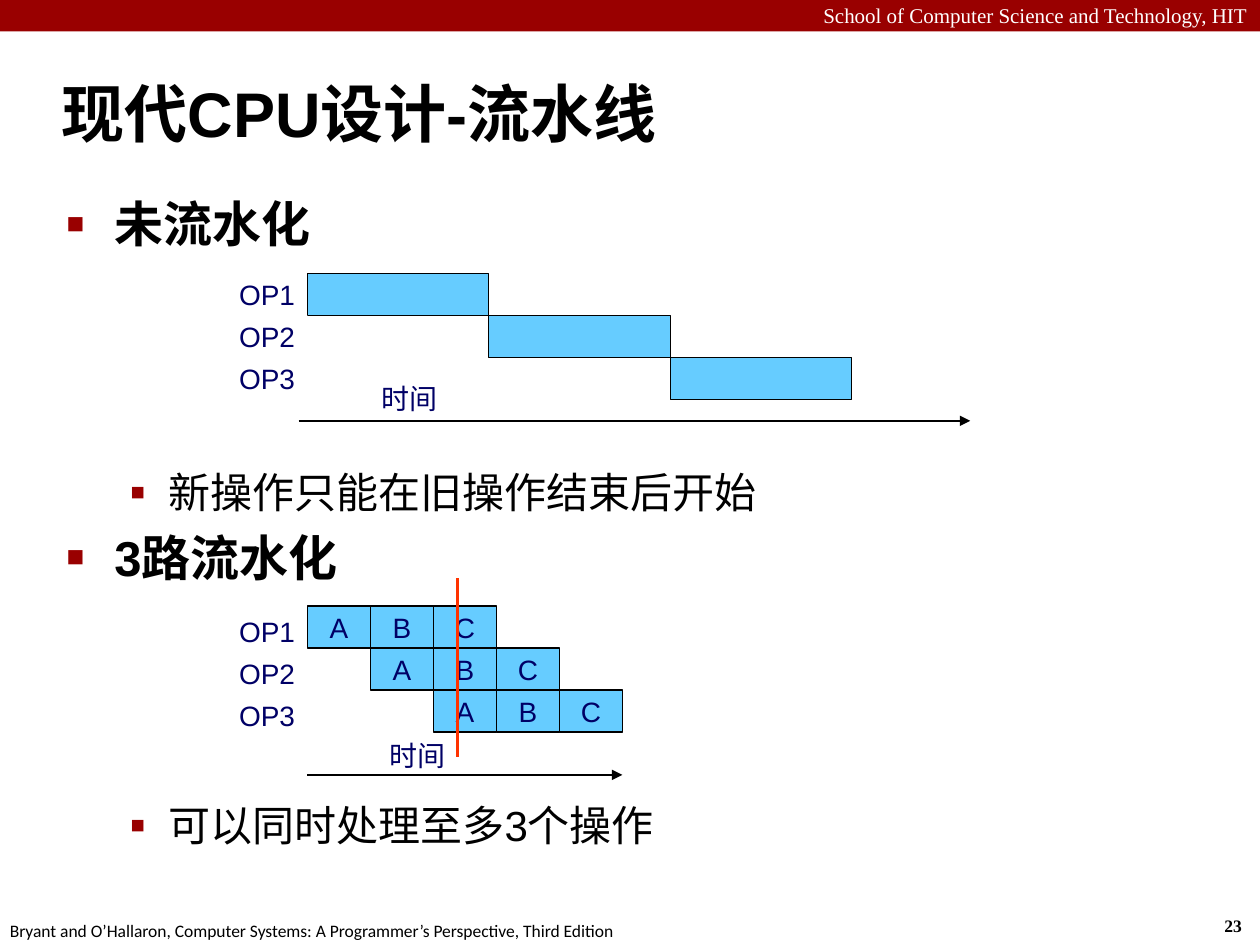
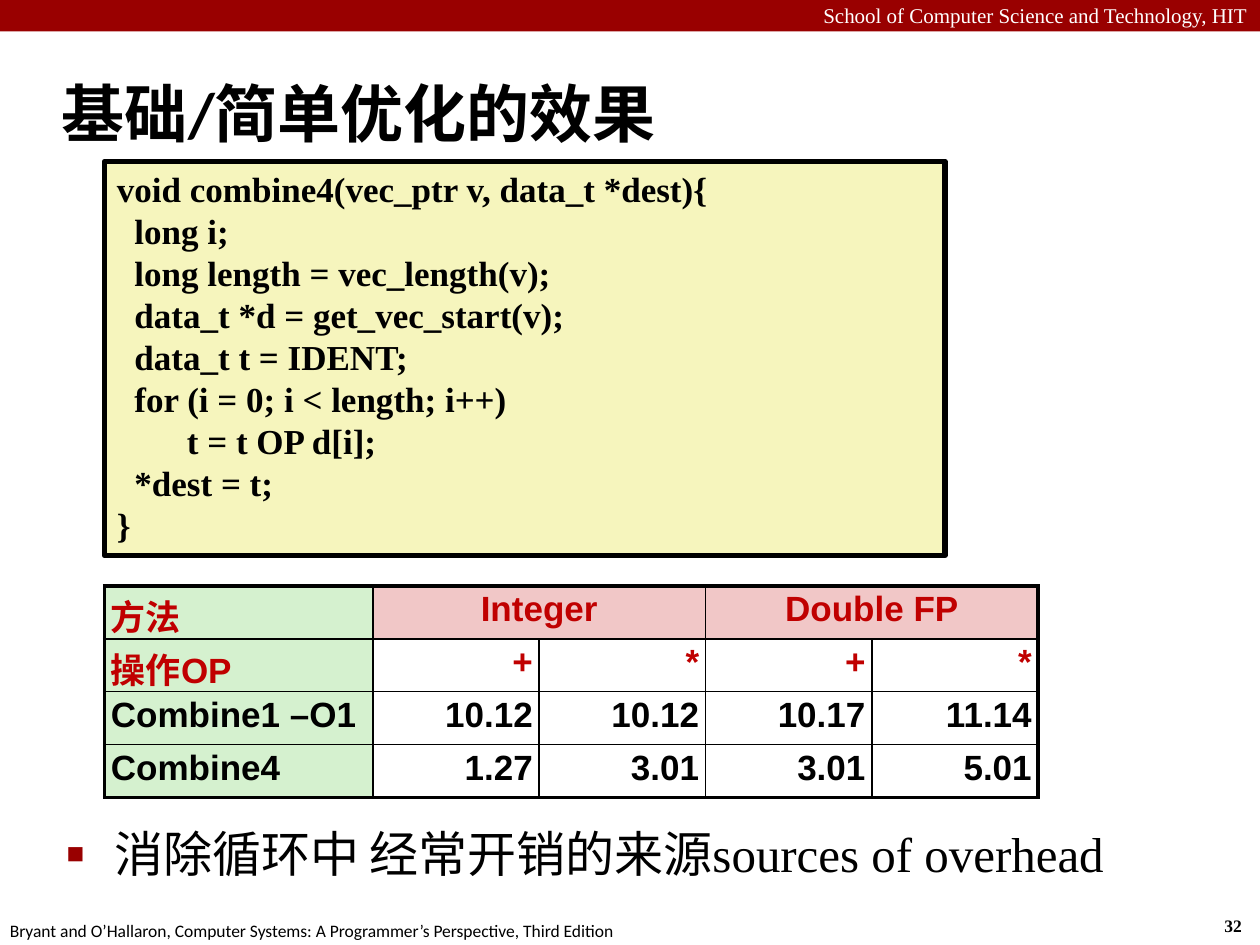
from dataclasses import dataclass

from lxml import etree
from pptx import Presentation
from pptx.dml.color import RGBColor
from pptx.enum.shapes import MSO_CONNECTOR, MSO_SHAPE
from pptx.enum.text import MSO_ANCHOR, PP_ALIGN
from pptx.oxml.ns import qn
from pptx.util import Inches, Pt

LEFT, CENTER, RIGHT = PP_ALIGN.LEFT, PP_ALIGN.CENTER, PP_ALIGN.RIGHT
TOP, MIDDLE = MSO_ANCHOR.TOP, MSO_ANCHOR.MIDDLE
RECTANGLE, STRAIGHT = MSO_SHAPE.RECTANGLE, MSO_CONNECTOR.STRAIGHT
TITLE_ONLY = 5

BLACK, WHITE, CRIMSON, NAVY = "000000", "FFFFFF", "990000", "000066"
SKY, ORANGE, CREAM = "66CCFF", "FF3300", "F6F5BD"
TABLE_RED, TABLE_GREEN, TABLE_PINK = "C00000", "D5F1CF", "F1C7C7"
SANS, SERIF, FOOTER_FONT = "Arial", "Times New Roman", "Calibri"

HEADER = "School of Computer Science and Technology, HIT"
FOOTER = ("Bryant and O’Hallaron, Computer Systems: "
          "A Programmer’s Perspective, Third Edition")

ROW_HEIGHT = Inches(1) / 3
LABEL_LEFT, LABEL_WIDTH = Inches(1.75), Inches(0.69)
BARS_LEFT = LABEL_LEFT + LABEL_WIDTH
OPERATIONS = ["OP1", "OP2", "OP3"]
STAGES = ["A", "B", "C"]

CODE_SPACE = Pt(5)
CODE = [
    (0, "void combine4(vec_ptr v, data_t *dest){"),
    (2, "long i;"),
    (2, "long length = vec_length(v);"),
    (2, "data_t *d = get_vec_start(v);"),
    (2, "data_t t = IDENT;"),
    (2, "for (i = 0; i < length; i++)"),
    (8, "t = t OP d[i];"),
    (2, "*dest = t;"),
    (0, "}"),
]
RESULTS = [
    ["方法", "Integer", "", "Double FP", ""],
    ["操作OP", "+", "*", "+", "*"],
    ["Combine1 –O1", "10.12", "10.12", "10.17", "11.14"],
    ["Combine4", "1.27", "3.01", "3.01", "5.01"],
]


@dataclass(frozen=True)
class BulletStyle:
    character: str
    percent: int
    margin: float
    hanging: float
    size: int


MAIN = BulletStyle("■", 60, 0.38, 0.38, 28)
SUB = BulletStyle("▪", 110, 0.81, 0.31, 24)


@dataclass(frozen=True)
class Bullet:
    text: str
    style: BulletStyle = MAIN
    before: float = 6
    bold: bool = False
    font: str = SANS


def color(value: str) -> RGBColor:
    return RGBColor.from_string(value)


def write(paragraph, text: str, *, size: float, font: str = SANS, fill: str = BLACK,
          bold: bool = False, align=LEFT) -> None:
    paragraph.alignment = align
    run = paragraph.add_run()
    run.text = text
    run.font.name, run.font.size, run.font.bold = font, Pt(size), bold
    run.font.color.rgb = color(fill)


def indent(paragraph, margin: int, hanging: int = 0) -> None:
    properties = paragraph._p.get_or_add_pPr()
    properties.set("marL", str(int(margin)))
    properties.set("indent", str(-int(hanging)))


def add_text(shapes, text: str, left: int, top: int, width: int, height: int, *,
             wrap: bool = False, **text_format) -> None:
    frame = shapes.add_textbox(left, top, width, height).text_frame
    frame.word_wrap = wrap
    write(frame.paragraphs[0], text, **text_format)


def add_box(shapes, left: int, top: int, width: int, height: int, fill: str, *,
            line_width: float = 0, text: str = "", align=CENTER):
    shape = shapes.add_shape(RECTANGLE, int(left), int(top), int(width), int(height))
    shape.shadow.inherit = False
    shape.fill.solid()
    shape.fill.fore_color.rgb = color(fill)
    if line_width:
        shape.line.color.rgb = color(BLACK)
        shape.line.width = Pt(line_width)
    else:
        shape.line.fill.background()
    if text:
        frame = shape.text_frame
        frame.word_wrap, frame.vertical_anchor = False, MIDDLE
        write(frame.paragraphs[0], text, size=16, fill=NAVY, align=align)
    return shape


def add_line(shapes, start: tuple[float, float], end: tuple[float, float], stroke: str,
             width: float, arrow: bool = False) -> None:
    points = [Inches(length) for length in (*start, *end)]
    connector = shapes.add_connector(STRAIGHT, *points)
    connector.line.color.rgb = color(stroke)
    connector.line.width = Pt(width)
    if arrow:
        line = connector.line._get_or_add_ln()
        etree.SubElement(line, qn("a:tailEnd"), type="triangle")
    etree.SubElement(connector._element.spPr, qn("a:effectLst"))


def add_bullets(slide, top: float, height: float, bullets: list[Bullet]) -> None:
    box = slide.shapes.add_textbox(Inches(0.43), Inches(top), Inches(9.4), Inches(height))
    frame = box.text_frame
    frame.word_wrap = True
    for index, bullet in enumerate(bullets):
        paragraph = frame.add_paragraph() if index else frame.paragraphs[0]
        style = bullet.style
        write(paragraph, bullet.text, size=style.size, bold=bullet.bold, font=bullet.font)
        paragraph.space_before = Pt(bullet.before)
        indent(paragraph, Inches(style.margin), Inches(style.hanging))
        properties = paragraph._p.get_or_add_pPr()
        bullet_color = etree.SubElement(properties, qn("a:buClr"))
        etree.SubElement(bullet_color, qn("a:srgbClr"), val=CRIMSON)
        etree.SubElement(properties, qn("a:buSzPct"), val=str(style.percent * 1000))
        etree.SubElement(properties, qn("a:buFont"), typeface=SANS)
        etree.SubElement(properties, qn("a:buChar"), char=style.character)


def add_slide(presentation, title: str, number: int, title_font: str = SANS):
    """Add a slide with the shared band, title, footer and page number."""
    slide = presentation.slides.add_slide(presentation.slide_layouts[TITLE_ONLY])
    shapes = slide.shapes
    add_box(shapes, 0, 0, presentation.slide_width, Inches(0.25), CRIMSON)
    add_text(shapes, HEADER, 0, Inches(-0.03), presentation.slide_width, Inches(0.3),
             wrap=True, size=12, font=SERIF, fill=WHITE, align=RIGHT)
    add_text(shapes, str(number), Inches(9.62), Inches(7.21), Inches(0.37), Inches(0.27),
             size=10, font=SERIF, bold=True)
    add_text(shapes, FOOTER, Inches(-0.02), Inches(7.25), Inches(5.08), Inches(0.27),
             size=10, font=FOOTER_FONT)
    placeholder = shapes.title
    placeholder.left, placeholder.top = Inches(0.39), Inches(0.48)
    placeholder.width, placeholder.height = Inches(9.61), Inches(0.83)
    frame = placeholder.text_frame
    frame.vertical_anchor = MIDDLE
    write(frame.paragraphs[0], title, size=36, font=title_font, bold=True)
    indent(frame.paragraphs[0], Inches(0.13), Inches(0.13))
    return slide


def add_timeline(slide, top: float, label_top: float, time_at: tuple[float, float],
                 arrow: tuple[float, float, float], bar_width: float, step: float,
                 stages: list[str]) -> None:
    """Draw one row per operation, each starting one step after the row above."""
    shapes = slide.shapes.add_group_shape().shapes
    arrow_left, arrow_right, arrow_y = arrow
    add_line(shapes, (arrow_left, arrow_y), (arrow_right, arrow_y), BLACK, 1, arrow=True)
    add_text(shapes, "时间", Inches(time_at[0]), Inches(time_at[1]), Inches(0.65),
             Inches(0.37), size=16, fill=NAVY)
    for row, operation in enumerate(OPERATIONS):
        offset = row * ROW_HEIGHT
        add_box(shapes, LABEL_LEFT, Inches(label_top) + offset, LABEL_WIDTH, ROW_HEIGHT,
                WHITE, text=operation, align=RIGHT)
        for column, stage in enumerate(stages):
            left = BARS_LEFT + Inches(row * step + column * bar_width)
            add_box(shapes, left, Inches(top) + offset, Inches(bar_width), ROW_HEIGHT,
                    SKY, line_width=0.75, text=stage)


def build_pipeline_slide(presentation) -> None:
    slide = add_slide(presentation, "现代CPU设计-流水线", 23)
    add_bullets(slide, 1.49, 5.76, [
        Bullet("未流水化", bold=True),
        Bullet("新操作只能在旧操作结束后开始", SUB, before=122),
        Bullet("3路流水化", bold=True),
        Bullet("可以同时处理至多3个操作", SUB, before=122),
    ])
    add_timeline(slide, 2.17, 2.17, (2.93, 2.98), (2.37, 7.7, 3.34), 1.44, 1.44, [""])
    add_timeline(slide, 4.81, 4.84, (2.99, 5.81), (2.44, 4.94, 6.15), 0.5, 0.5, STAGES)
    add_line(slide.shapes, (3.63, 4.59), (3.63, 6.01), ORANGE, 1.5)


def add_code(slide) -> None:
    box = add_box(slide.shapes, Inches(0.83), Inches(1.28), Inches(6.67), Inches(3.13),
                  CREAM, line_width=3)
    frame = box.text_frame
    frame.word_wrap, frame.vertical_anchor = True, TOP
    for index, (spaces, text) in enumerate(CODE):
        paragraph = frame.add_paragraph() if index else frame.paragraphs[0]
        write(paragraph, text, size=20, font=SERIF, bold=True)
        indent(paragraph, spaces * CODE_SPACE)


def set_borders(cell, widths: dict[str, float]) -> None:
    properties = cell._tc.get_or_add_tcPr()
    for index, (side, width) in enumerate(widths.items()):
        line = etree.Element(qn(f"a:ln{side}"), w=str(Pt(width)))
        fill = etree.SubElement(line, qn("a:solidFill"))
        etree.SubElement(fill, qn("a:srgbClr"), val=BLACK)
        properties.insert(index, line)


def add_results(slide) -> None:
    rows, columns = len(RESULTS), len(RESULTS[0])
    table = slide.shapes.add_table(rows, columns, Inches(0.83), Inches(4.65),
                                   Inches(7.42), Inches(1.7)).table
    table.first_row = table.horz_banding = False
    for index, column in enumerate(table.columns):
        column.width = Inches(1.32 if index else 2.13)
    for row in table.rows:
        row.height = Inches(0.42)
    for first in (1, 3):
        table.cell(0, first).merge(table.cell(0, first + 1))
    for row, texts in enumerate(RESULTS):
        for column, text in enumerate(texts):
            cell = table.cell(row, column)
            cell.margin_left = cell.margin_right = Inches(0.05)
            cell.margin_top = cell.margin_bottom = Inches(0.05)
            if column and row:
                cell.fill.background()
            else:
                cell.fill.solid()
                cell.fill.fore_color.rgb = color(TABLE_PINK if column else TABLE_GREEN)
            last_column = column + cell.span_width == columns
            set_borders(cell, {
                "L": 1 if column else 2.25,
                "R": 2.25 if last_column else 1,
                "T": 1 if row else 2.25,
                "B": 2.25 if row == rows - 1 else 1,
            })
            if text:
                align = LEFT if column == 0 else RIGHT if row else CENTER
                paragraph = cell.text_frame.paragraphs[0]
                paragraph.line_spacing = 0.95
                write(paragraph, text, size=20, bold=True, align=align,
                      fill=TABLE_RED if row < 2 else BLACK)


def build_results_slide(presentation) -> None:
    slide = add_slide(presentation, "基础/简单优化的效果", 32, FOOTER_FONT)
    add_bullets(slide, 6.49, 0.59, [
        Bullet("消除循环中 经常开销的来源sources of overhead", font=SERIF),
    ])
    add_code(slide)
    add_results(slide)


def main() -> None:
    presentation = Presentation()
    presentation.slide_width, presentation.slide_height = Inches(10), Inches(7.5)
    build_pipeline_slide(presentation)
    build_results_slide(presentation)
    presentation.save("out.pptx")


if __name__ == "__main__":
    main()
